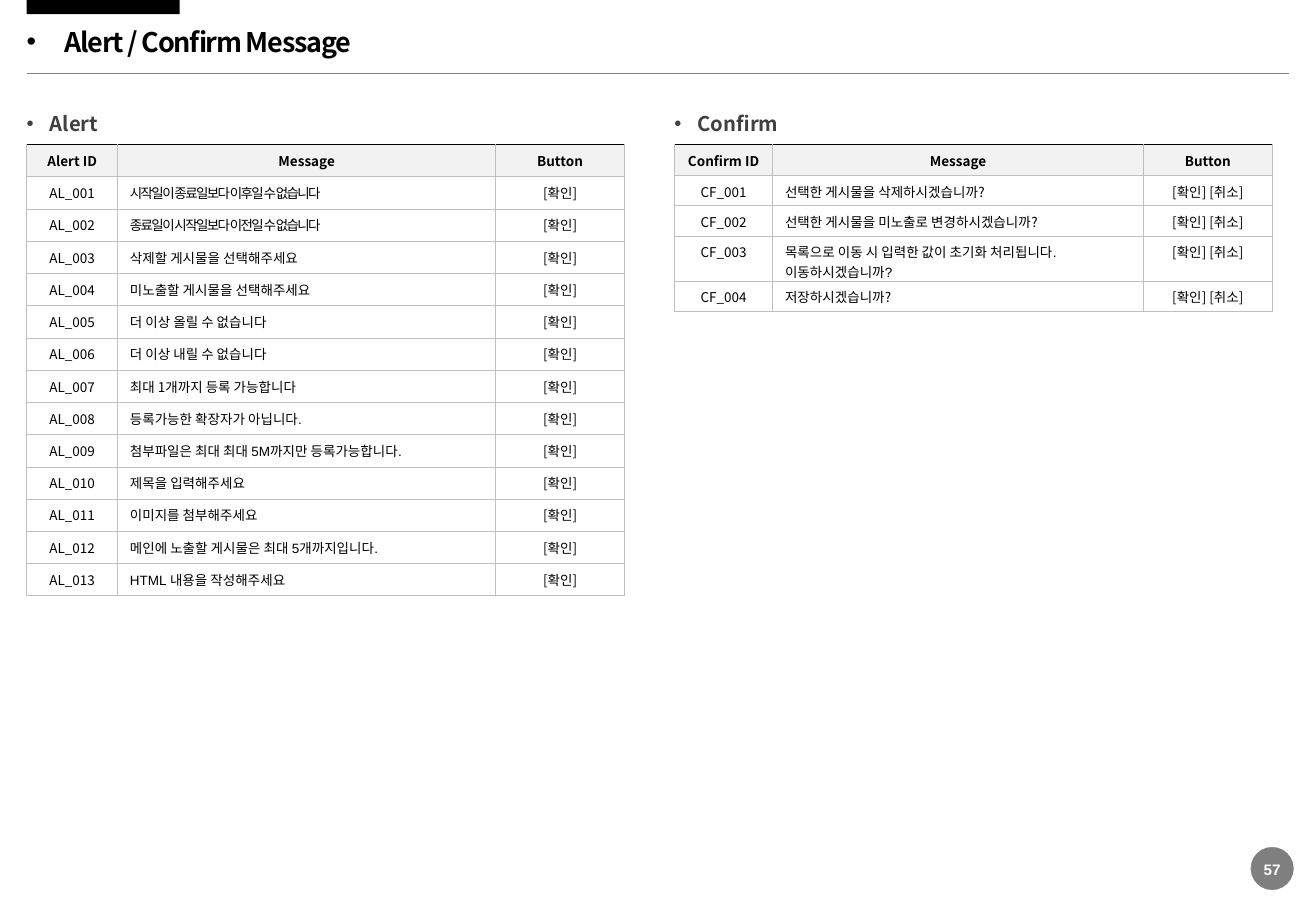
from pptx import Presentation, util as u
from pptx.dml.color import RGBColor
from pptx.enum import shapes, text
from pptx.oxml.ns import qn
from lxml import etree

WIDE, HIGH = u.Inches(10.83), u.Inches(7.5)
SANS, ARIAL = "Noto Sans CJK KR", "Arial"
LEFT, HALF = 2.03, 51.25
OK, ASK = "[확인]", "[확인] [취소]"

TITLE = "Alert / Confirm Message"
PAGE = "57"
ALERTS = [
    ("시작일이 종료일보다 이후일 수 없습니다", ARIAL, -1),
    ("종료일이 시작일보다 이전일 수 없습니다", ARIAL, -1),
    ("삭제할 게시물을 선택해주세요", SANS, 0),
    ("미노출할 게시물을 선택해주세요", SANS, 0),
    ("더 이상 올릴 수 없습니다", SANS, 0),
    ("더 이상 내릴 수 없습니다", SANS, 0),
    ("최대 1개까지 등록 가능합니다", SANS, 0),
    ("등록가능한 확장자가 아닙니다.", ARIAL, 0),
    ("첨부파일은 최대 최대 5M까지만 등록가능합니다.", ARIAL, 0),
    ("제목을 입력해주세요", ARIAL, 0),
    ("이미지를 첨부해주세요", ARIAL, 0),
    ("메인에 노출할 게시물은 최대 5개까지입니다.", ARIAL, 0),
    ("HTML 내용을 작성해주세요", ARIAL, 0),
]
CONFIRMS = [
    ("선택한 게시물을 삭제하시겠습니까?", SANS, 0),
    ("선택한 게시물을 미노출로 변경하시겠습니까?", SANS, 0),
    ("목록으로 이동 시 입력한 값이 초기화 처리됩니다. 이동하시겠습니까?", ARIAL, 0),
    ("저장하시겠습니까?", SANS, 0),
]
PARTS = [
    ("Alert", "AL", LEFT, (6.92, 28.72, 9.79), ALERTS, OK, [3.54] * 14),
    ("Confirm", "CF", HALF, (7.48, 28.16, 9.79), CONFIRMS, ASK,
     [3.4, 3.32, 3.32, 4.95, 3.32]),
]


def color(code):
    return RGBColor.from_string(code)


def across(share):
    return round(WIDE * share / 100)


def down(share):
    return round(HIGH * share / 100)


def place(x, y, w, h):
    return across(x), down(y), across(w), down(h)


def style(para, size, tone, face=SANS, bold=False, gap=0):
    for run in para.runs:
        font = run.font
        font.size, font.bold, font.name = u.Pt(size), bold, face
        font.color.rgb = color(tone)
        props = run._r.get_or_add_rPr()
        if gap:
            props.set("spc", str(round(gap * 100)))
        etree.SubElement(props, qn("a:ea")).set("typeface", SANS)


def bullet(para, indent):
    props = para._p.get_or_add_pPr()
    props.set("marL", str(u.Inches(indent)))
    props.set("indent", str(-u.Inches(indent)))
    etree.SubElement(props, qn("a:buFont")).set("typeface", ARIAL)
    etree.SubElement(props, qn("a:buChar")).set("char", "•")


def label(slide, words, area, anchor):
    frame = slide.shapes.add_textbox(*area).text_frame
    frame.margin_left = frame.margin_right = 0
    frame.margin_top = frame.margin_bottom = 0
    frame.word_wrap, frame.vertical_anchor = True, anchor
    frame.text = words
    return frame.paragraphs[0]


def solid(shape, code):
    shape.shadow.inherit = False
    shape.fill.solid()
    shape.fill.fore_color.rgb = color(code)


def border(cell, head):
    props = cell._tc.get_or_add_tcPr()
    for spot, side in enumerate(("lnL", "lnR", "lnT", "lnB")):
        top = head and side == "lnT"
        line = etree.Element(qn("a:" + side), w=str(u.Pt(1 if top else 0.5)))
        fill = etree.SubElement(line, qn("a:solidFill"))
        tone = etree.SubElement(fill, qn("a:srgbClr"))
        tone.set("val", "000000" if top else "BFBFBF")
        props.insert(spot, line)


def fill_cell(cell, item, head, center):
    words, face, gap = item
    cell.text = words
    para = cell.text_frame.paragraphs[0]
    para.alignment = text.PP_ALIGN.CENTER if center else text.PP_ALIGN.LEFT
    style(para, 8, "000000", face, head, gap)
    if head:
        cell.vertical_anchor = text.MSO_ANCHOR.MIDDLE
        cell.fill.solid()
        cell.fill.fore_color.rgb = color("F2F2F2")
    else:
        cell.fill.background()
    border(cell, head)


def add_part(slide, name, code, x, cols, notes, button, highs):
    para = label(slide, name, place(x, 12.27, 8.4, 2.67), text.MSO_ANCHOR.TOP)
    bullet(para, 0.19)
    style(para, 12, "404040", bold=True)

    rows = [[(head, SANS, 0) for head in (name + " ID", "Message", "Button")]]
    for num, note in enumerate(notes, 1):
        rows.append([(f"{code}_{num:03}", SANS, 0), note, (button, SANS, 0)])
    area = place(x, 15.87, sum(cols), sum(highs))
    table = slide.shapes.add_table(len(rows), len(cols), *area).table
    table.horz_banding = table.first_row = False
    for col, share in zip(table.columns, cols):
        col.width = across(share)
    for r, row in enumerate(rows):
        table.rows[r].height = down(highs[r])
        for c, item in enumerate(row):
            fill_cell(table.cell(r, c), item, r == 0, r == 0 or c != 1)


def add_frame(slide):
    tab = slide.shapes.add_shape(shapes.MSO_SHAPE.RECTANGLE, *place(LEFT, 0, 11.63, 1.55))
    solid(tab, "000000")
    tab.line.fill.background()

    rule = slide.shapes.add_connector(
        shapes.MSO_CONNECTOR.STRAIGHT, across(LEFT), down(8), across(97.97), down(8))
    rule.line.color.rgb, rule.line.width = color("808080"), u.Pt(0.25)
    etree.SubElement(rule._element.spPr, qn("a:effectLst"))

    para = label(slide, TITLE, place(LEFT, 2.7, 60, 4.13), text.MSO_ANCHOR.MIDDLE)
    bullet(para, 0.31)
    para.line_spacing = 0.9
    style(para, 16, "000000", bold=True, gap=-0.7)


def add_page(slide):
    disc = slide.shapes.add_shape(
        shapes.MSO_SHAPE.OVAL, across(95.05), down(93), u.Inches(0.35), u.Inches(0.35))
    solid(disc, "000000")
    tone = disc._element.spPr.find(qn("a:solidFill"))[0]
    etree.SubElement(tone, qn("a:alpha")).set("val", "50000")
    disc.line.color.rgb, disc.line.width = color("808080"), u.Pt(0.25)
    para = label(slide, PAGE, place(95.05, 94.4, 3.23, 2), text.MSO_ANCHOR.MIDDLE)
    para.alignment = text.PP_ALIGN.CENTER
    style(para, 9, "FFFFFF", ARIAL, True)


def main():
    deck = Presentation()
    deck.slide_width, deck.slide_height = WIDE, HIGH
    slide = deck.slides.add_slide(deck.slide_layouts[6])
    add_frame(slide)
    for part in PARTS:
        add_part(slide, *part)
    add_page(slide)
    deck.save("out.pptx")


if __name__ == "__main__":
    main()
